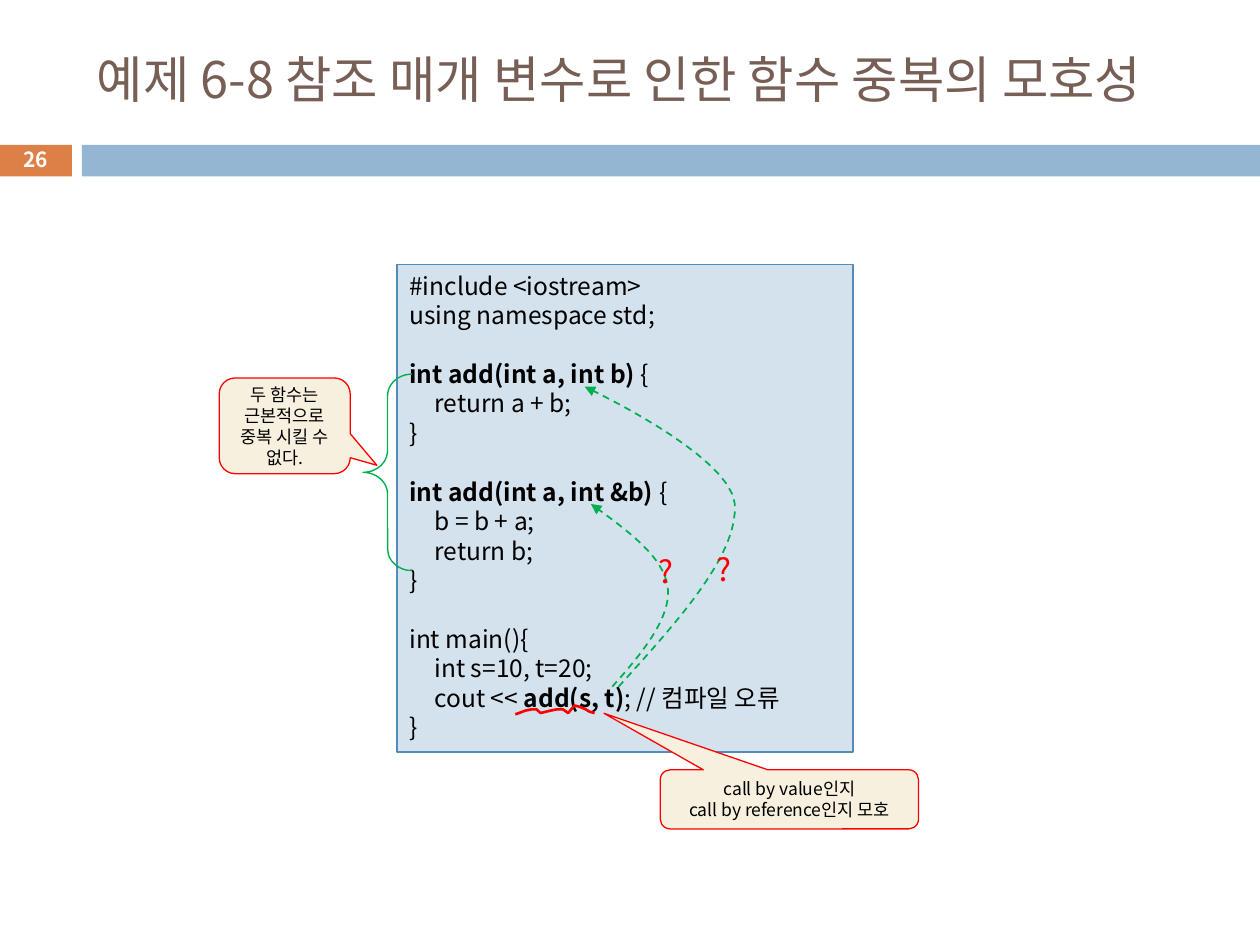
from lxml.etree import SubElement as Sub
from pptx import Presentation
from pptx.dml.color import RGBColor
from pptx.enum.dml import MSO_LINE as Dash
from pptx.enum.shapes import MSO_SHAPE as Kind
from pptx.enum.text import MSO_ANCHOR as Anchor, MSO_AUTO_SIZE as Auto, PP_ALIGN as Align
from pptx.oxml.ns import qn
from pptx.util import Pt

FACE = "Noto Sans CJK KR"
RED, GREEN, CREAM, BLACK = "FF0000", "00B050", "F7F0DE", "000000"
ROW = 16.8
CODE = [
    ["#include <iostream>", "using namespace std;"],
    ["*int add(int a, int b) *{", "\treturn a + b;", "}"],
    ["*int add(int a, int &b) *{", "\tb = b + a;", "\treturn b;", "}"],
    ["int main(){", "\tint s=10, t=20;", "\tcout << *add(s, t)*; // 컴파일 오류", "}"],
]
WAVE = [(67.7, 257), (69.8, 256.3), (73.4, 254.9), (77, 254.2), (79.9, 254.2),
        (82.1, 256.3), (87.8, 254.9), (91.4, 254.2), (95, 254.2), (97.9, 256.3),
        (101.5, 252), (104.4, 252.7), (108, 254.2), (110.2, 255.6), (113, 256.3)]
NEAR = [(123.1, 241.2), (140.4, 221.8), (157, 201.6), (154.8, 184.3),
        (152.6, 167), (131.8, 151.9), (110.9, 136.8)]
FAR = [(126.7, 241.2), (161.3, 203), (195.8, 164.9), (193, 136.1),
       (189.4, 108), (107.3, 69.8), (107.3, 69.8)]


def color(code):
    return RGBColor.from_string(code)


def style(para, size, ink, align=Align.LEFT, bold=None):
    para.alignment = align
    font = para.font
    font.size, font.name, font.bold = Pt(size), FACE, bold
    font.color.rgb = color(ink)
    Sub(para._p.pPr.find(qn("a:defRPr")), qn("a:ea"), typeface=FACE)


def paint(shape, fill=None, ink=None, width=0.75):
    shape.shadow.inherit = False
    if fill:
        shape.fill.solid()
        shape.fill.fore_color.rgb = color(fill)
    else:
        shape.fill.background()
    if ink:
        shape.line.color.rgb = color(ink)
        shape.line.width = Pt(width)
    else:
        shape.line.fill.background()


def block(slide, kind, box, fill=None, ink=None, width=0.75):
    shape = slide.shapes.add_shape(kind, *map(Pt, box))
    paint(shape, fill, ink, width)
    return shape


def stroke(slide, left, top, points, ink, width):
    spots = [(Pt(left + x), Pt(top + y)) for x, y in points]
    pen = slide.shapes.build_freeform(*spots[0], scale=1.0)
    pen.add_line_segments(spots[1:], close=False)
    shape = pen.convert_to_shape()
    paint(shape, None, ink, width)
    return shape


def bend(knots, steps=16):
    points = [knots[0]]
    for i in range(0, len(knots) - 1, 3):
        part = knots[i:i + 4]
        for n in range(1, steps + 1):
            t = n / steps
            mix = ((1 - t) ** 3, 3 * t * (1 - t) ** 2, 3 * t * t * (1 - t), t ** 3)
            points.append(tuple(sum(m * p[axis] for m, p in zip(mix, part))
                                for axis in (0, 1)))
    return points


def arrow(slide, left, top, knots):
    shape = stroke(slide, left, top, bend(knots), GREEN, 1)
    shape.line.dash_style = Dash.DASH
    Sub(shape._element.spPr.find(qn("a:ln")), qn("a:tailEnd"), type="triangle")


def label(slide, box, text, size, ink, wrap=False, **look):
    frame = slide.shapes.add_textbox(*map(Pt, box)).text_frame
    frame.word_wrap = wrap
    frame.vertical_anchor = Anchor.MIDDLE
    frame.text = text
    style(frame.paragraphs[0], size, ink, **look)


def callout(slide, box, lines, tip):
    shape = block(slide, Kind.ROUNDED_RECTANGULAR_CALLOUT, box, CREAM, RED)
    for i, value in enumerate((*tip, 0.167)):
        shape.adjustments[i] = value
    frame = shape.text_frame
    frame.word_wrap = True
    frame.vertical_anchor = Anchor.MIDDLE
    frame.text = "\n".join(lines)
    for para in frame.paragraphs:
        style(para, 10, BLACK, Align.CENTER)


def header(slide, left, top, width):
    title = slide.shapes.title
    title.left, title.top = Pt(left + 48.2), Pt(top + 18)
    title.width, title.height = Pt(642.2), Pt(53.3)
    frame = title.text_frame
    frame.auto_size, frame.word_wrap = Auto.NONE, True
    frame.vertical_anchor = Anchor.MIDDLE
    frame.text = "예제 6-8 참조 매개 변수로 인한 함수 중복의 모호성"
    style(frame.paragraphs[0], 28.8, "775F55")
    block(slide, Kind.RECTANGLE, (left - 0.7, top + 82.8, 41.8, 18), "DD8047")
    block(slide, Kind.RECTANGLE, (left + 46.8, top + 82.8, width - 46.8, 18), "94B6D2")
    label(slide, (left - 0.7, top + 81.4, 41.8, 19.4), "26", 11.9, "FFFFFF",
          True, align=Align.CENTER, bold=True)


def listing(slide, left, top, width, height):
    shape = block(slide, Kind.RECTANGLE, (left, top, width, height), "D4E2ED", "558BB8")
    frame = shape.text_frame
    frame.word_wrap = True
    frame.vertical_anchor = Anchor.TOP
    para = frame.paragraphs[0]
    for g, group in enumerate(CODE):
        for n, line in enumerate(group):
            if g or n:
                para = frame.add_paragraph()
            if g and not n:
                para.space_before = Pt(ROW)
            tabs = Sub(para._p.get_or_add_pPr(), qn("a:tabLst"))
            Sub(tabs, qn("a:tab"), pos=str(Pt(14.4)), algn="l")
            style(para, 14, BLACK)
            for i, text in enumerate(line.split("*")):
                if text:
                    run = para.add_run()
                    run.text = text
                    if i % 2:
                        run.font.bold = True


def notes(slide, left, top):
    for knots in (NEAR, FAR):
        arrow(slide, left, top, knots)
    callout(slide, (left + 150.5, top + 288.7, 147.6, 33.8),
            ["call by value인지", "call by reference인지 모호"], (-0.718, -1.456))
    for x, y in ((142.6, 160.6), (175.7, 159.8)):
        label(slide, (left + x, top + y, 23, 28.8), "?", 18, RED)
    brace = block(slide, Kind.LEFT_BRACE, (left - 19.4, top + 62.6, 28.1, 112.3),
                  None, GREEN, 0.79)
    brace.adjustments[0], brace.adjustments[1] = 0.444, 0.5
    callout(slide, (left - 101.5, top + 64.8, 74.9, 54.7),
            ["두 함수는 근본적으로", "중복 시킬 수 없다."], (0.703, 0.412))
    stroke(slide, left, top, WAVE, RED, 1.5)


def main():
    deck = Presentation()
    deck.slide_width, deck.slide_height = Pt(720), Pt(540)
    slide = deck.slides.add_slide(deck.slide_layouts[5])
    header(slide, 0, 0, 720)
    listing(slide, 226.8, 151.2, 260.6, 278.6)
    notes(slide, 226.8, 151.2)
    deck.save("out.pptx")


if __name__ == "__main__":
    main()
